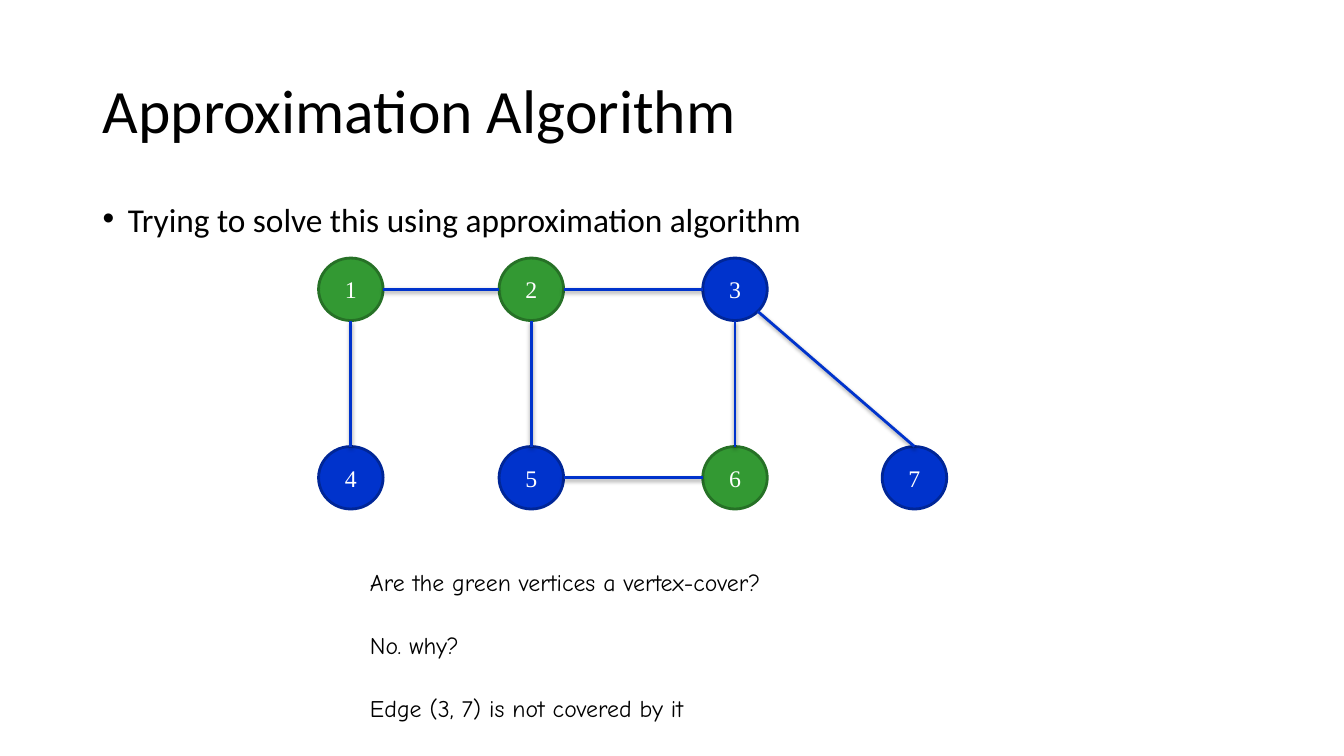
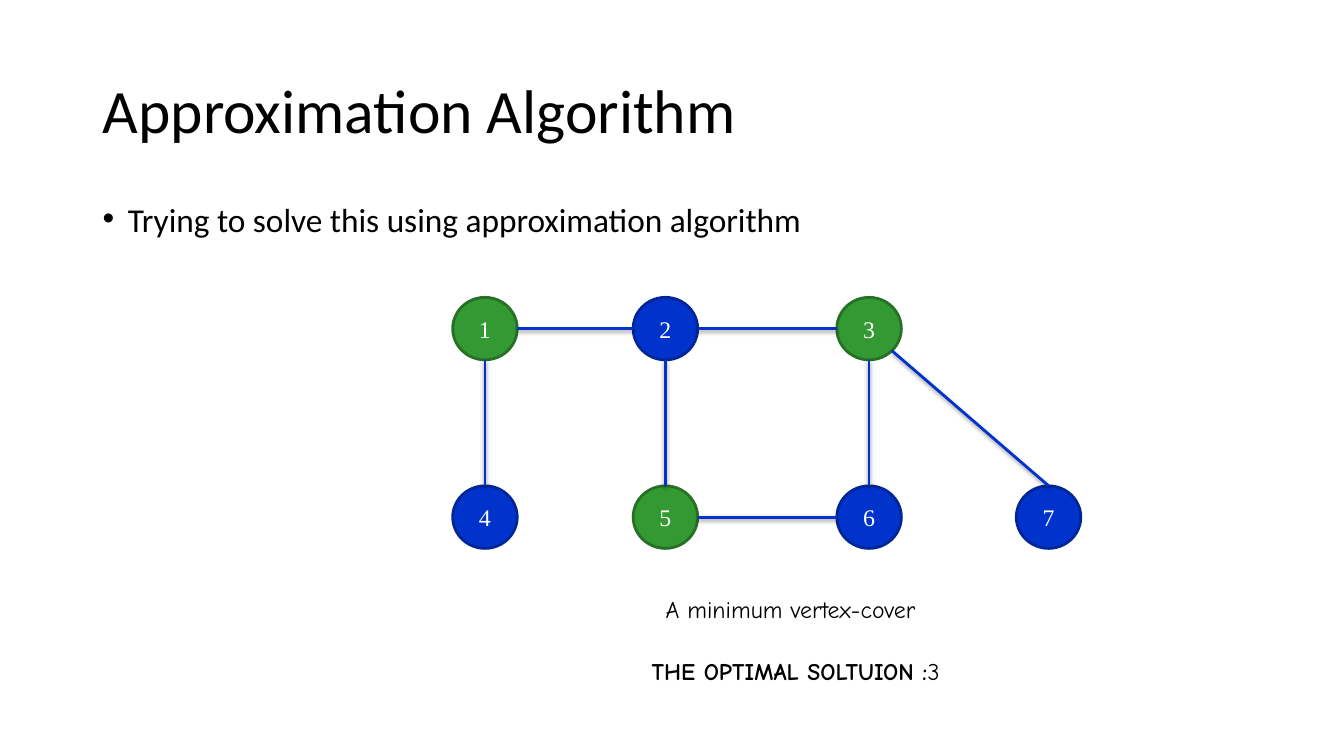
from math import sqrt

from pptx import Presentation
from pptx.dml.color import RGBColor
from pptx.enum.shapes import MSO_CONNECTOR, MSO_SHAPE
from pptx.enum.text import MSO_ANCHOR, MSO_AUTO_SIZE, PP_ALIGN
from pptx.oxml import parse_xml
from pptx.oxml.ns import nsdecls
from pptx.oxml.xmlchemy import OxmlElement
from pptx.util import Inches, Pt

STRAIGHT = MSO_CONNECTOR.STRAIGHT
OVAL = MSO_SHAPE.OVAL
MIDDLE, TOP = MSO_ANCHOR.MIDDLE, MSO_ANCHOR.TOP
NO_FIT, GROW = MSO_AUTO_SIZE.NONE, MSO_AUTO_SIZE.SHAPE_TO_FIT_TEXT
LEFT, CENTER, RIGHT = PP_ALIGN.LEFT, PP_ALIGN.CENTER, PP_ALIGN.RIGHT

BLACK = RGBColor(0x00, 0x00, 0x00)
WHITE = RGBColor(0xFF, 0xFF, 0xFF)
BLUE = RGBColor(0x00, 0x33, 0xCC)
DARK_BLUE = RGBColor(0x00, 0x26, 0x97)
GREEN = RGBColor(0x33, 0x99, 0x33)
DARK_GREEN = RGBColor(0x26, 0x71, 0x26)

BODY_FONT = "Calibri"
NODE_FONT = "Times New Roman"
NOTE_FONT = "Comic Neue"
TITLE = "Approximation Algorithm"
BULLET = "Trying to solve this using approximation algorithm"

NODE_WIDTH, NODE_HEIGHT = 0.64, 0.62
COLUMNS = (0, 1.79, 3.81, 5.59)
ROW_GAP = 1.87
VERTICES = {
    4: (0, 1), 1: (0, 0), 2: (1, 0), 3: (2, 0),
    6: (2, 1), 5: (1, 1), 7: (3, 1),
}
DIAGONAL = (1 + 1 / sqrt(2)) / 2
SITES = {
    "top": (0, 0.5, 0),
    "left": (2, 0, 0.5),
    "bottom": (4, 0.5, 1),
    "bottom right": (5, DIAGONAL, DIAGONAL),
    "right": (6, 1, 0.5),
}
EDGES = (
    (1, "bottom", 4, "top"),
    (1, "right", 2, "left"),
    (2, "right", 3, "left"),
    (2, "bottom", 5, "top"),
    (3, "bottom right", 7, "top"),
    (3, "bottom", 6, "top"),
    (5, "right", 6, "left"),
)
SHADOW = (
    f'<a:effectLst {nsdecls("a")}>'
    f'<a:outerShdw blurRad="{Pt(3.1)}" dist="{Pt(1.6)}" dir="5400000" rotWithShape="0">'
    '<a:srgbClr val="000000"><a:alpha val="38000"/></a:srgbClr>'
    '</a:outerShdw></a:effectLst>'
)


def write_text(para, text, *, size, font, color=BLACK, bold=False, align=LEFT, spacing=None):
    para.alignment = align
    if spacing:
        para.line_spacing = spacing
    span = para.add_run()
    span.text = text
    span.font.size = Pt(size)
    span.font.name = font
    span.font.color.rgb = color
    span.font.bold = bold


def set_frame(frame, *, anchor=TOP, fit=NO_FIT, side=0.1):
    frame.word_wrap = True
    frame.auto_size = fit
    frame.vertical_anchor = anchor
    frame.margin_left = frame.margin_right = Inches(side)
    frame.margin_top = frame.margin_bottom = Inches(0.05)


def add_box(slide, left, top, width, height, **frame_format):
    box = slide.shapes.add_textbox(Inches(left), Inches(top), Inches(width), Inches(height))
    set_frame(box.text_frame, **frame_format)
    return box.text_frame.paragraphs[0]


def add_bullet(slide, text):
    para = add_box(slide, 0.92, 2, 7.26, 0.56)
    properties = para._p.get_or_add_pPr()
    properties.set("marL", str(Inches(0.25)))
    properties.set("indent", str(Inches(-0.25)))
    for tag, key, value in (("a:buFont", "typeface", "Arial"), ("a:buChar", "char", "•")):
        bullet = OxmlElement(tag)
        bullet.set(key, value)
        properties.append(bullet)
    write_text(para, text, size=23.8, font=BODY_FONT, spacing=0.8)


def add_page(deck):
    slide = deck.slides.add_slide(deck.slide_layouts[5])
    title = slide.shapes.title
    title.left, title.top = Inches(0.92), Inches(0.4)
    title.width, title.height = Inches(11.5), Inches(1.45)
    set_frame(title.text_frame, anchor=MIDDLE)
    write_text(title.text_frame.paragraphs[0], TITLE, size=44, font=BODY_FONT, spacing=0.9)
    add_bullet(slide, BULLET)
    return slide


def add_node(slide, number, left, top, covered):
    node = slide.shapes.add_shape(
        OVAL, Inches(left), Inches(top), Inches(NODE_WIDTH), Inches(NODE_HEIGHT))
    node.shadow.inherit = False
    node.fill.solid()
    node.fill.fore_color.rgb = GREEN if covered else BLUE
    node.line.color.rgb = DARK_GREEN if covered else DARK_BLUE
    node.line.width = Pt(2)
    set_frame(node.text_frame, anchor=MIDDLE, side=0.11)
    write_text(node.text_frame.paragraphs[0], str(number),
               size=17, font=NODE_FONT, color=WHITE, align=CENTER)
    return node


def site_point(node, site):
    _, across, down = SITES[site]
    return round(node.left + across * node.width), round(node.top + down * node.height)


def add_edge(slide, start, start_site, end, end_site):
    edge = slide.shapes.add_connector(
        STRAIGHT, *site_point(start, start_site), *site_point(end, end_site))
    edge.line.color.rgb = BLUE
    edge.line.width = Pt(2)
    edge._element.spPr.append(parse_xml(SHADOW))
    links = edge._element.nvCxnSpPr.cNvCxnSpPr
    for tag, node, site in (("a:stCxn", start, start_site), ("a:endCxn", end, end_site)):
        link = OxmlElement(tag)
        link.set("id", str(node.shape_id))
        link.set("idx", str(SITES[site][0]))
        links.append(link)


def add_graph(slide, left, top, cover):
    nodes = {
        number: add_node(slide, number, left + COLUMNS[column], top + row * ROW_GAP,
                         number in cover)
        for number, (column, row) in VERTICES.items()
    }
    for start, start_site, end, end_site in EDGES:
        add_edge(slide, nodes[start], start_site, nodes[end], end_site)


def add_note(slide, left, top, width, *spans, align=LEFT):
    para = add_box(slide, left, top, width, 0.4, fit=GROW, side=0.11)
    for text, bold in spans:
        write_text(para, text, size=17, font=NOTE_FONT, bold=bold, align=align)


def add_question_page(deck):
    slide = add_page(deck)
    add_graph(slide, 3.16, 2.56, {1, 2, 6})
    add_note(slide, 3.56, 5.58, 4.58, ("Are the green vertices a vertex-cover?", False))
    add_note(slide, 3.56, 6.21, 4.58, ("No. why?", False))
    add_note(slide, 3.56, 6.83, 6.32, ("Edge (3, 7) is not covered by it", False))


def add_optimum_page(deck):
    slide = add_page(deck)
    add_graph(slide, 4.49, 2.95, {1, 3, 5})
    add_note(slide, 5.89, 5.85, 3.3, ("A minimum vertex-cover", False), align=RIGHT)
    add_note(slide, 5.7, 6.47, 3.73,
             ("THE OPTIMAL SOLTUION :", True), ("3", False), align=RIGHT)


def main():
    deck = Presentation()
    deck.slide_width, deck.slide_height = Inches(13.33), Inches(7.5)
    add_question_page(deck)
    add_optimum_page(deck)
    deck.save("out.pptx")


if __name__ == "__main__":
    main()
